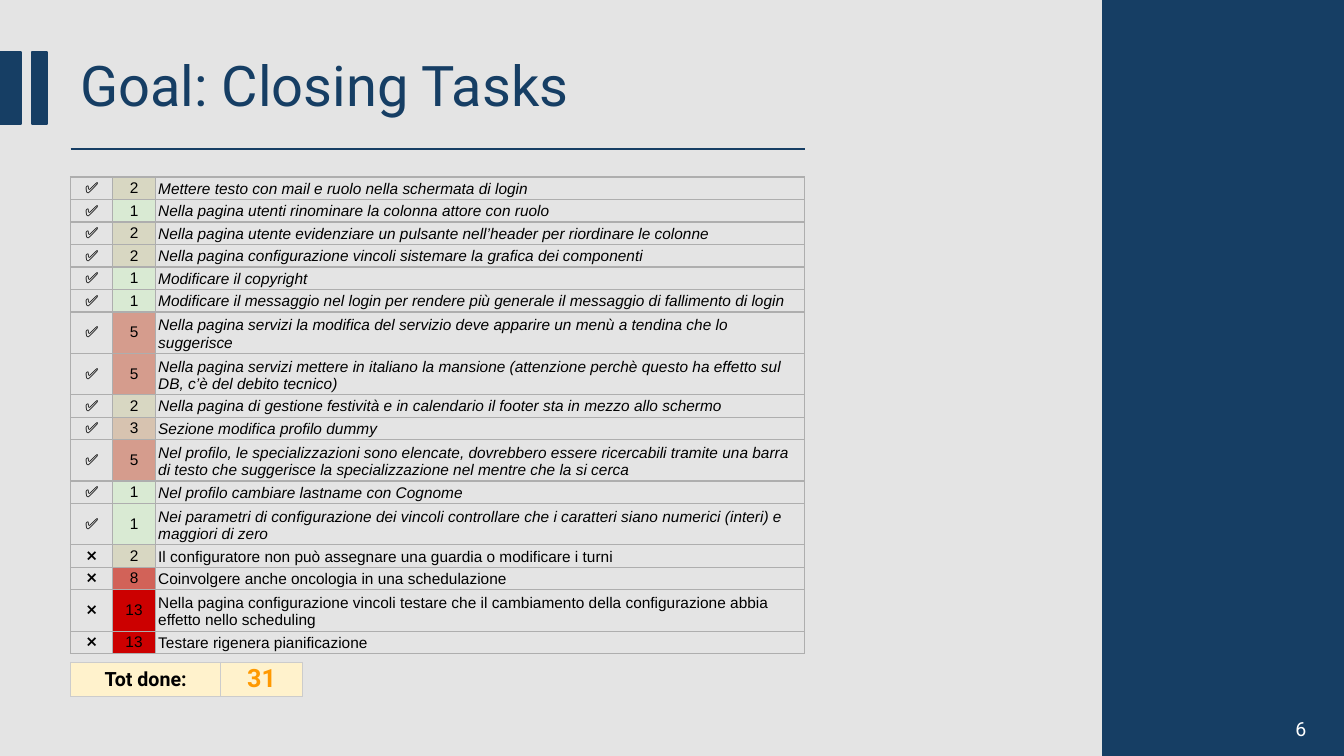
"""Builds the sprint slide that lists closed and open tasks with their points."""
from lxml.etree import SubElement
from pptx import Presentation
from pptx.dml.color import RGBColor
from pptx.enum.shapes import MSO_CONNECTOR, MSO_SHAPE
from pptx.enum.text import MSO_ANCHOR, PP_ALIGN
from pptx.oxml.ns import qn
from pptx.util import Inches, Pt

C = {"navy": "163E64", "bg": "E4E4E4", "white": "FFFFFF", "black": "000000",
     "grid": "AEAEAE", "total_grid": "CCCCCC", "cream": "FFF2CC", "orange": "FF9900"}
POINTS = {1: "D9EAD3", 2: "D8D7C2", 3: "D7C3B0", 5: "D59C8D", 8: "D26258", 13: "CC0000"}
TASKS = [
    (True, 2, 1, "Mettere testo con mail e ruolo nella schermata di login"),
    (True, 1, 1, "Nella pagina utenti rinominare la colonna attore con ruolo"),
    (True, 2, 1, "Nella pagina utente evidenziare un pulsante nell’header per riordinare le colonne"),
    (True, 2, 1, "Nella pagina configurazione vincoli sistemare la grafica dei componenti"),
    (True, 1, 1, "Modificare il copyright"),
    (True, 1, 1, "Modificare il messaggio nel login per rendere più generale il messaggio di "
                 "fallimento di login"),
    (True, 5, 2, "Nella pagina servizi la modifica del servizio deve apparire un menù a tendina "
                 "che lo suggerisce"),
    (True, 5, 2, "Nella pagina servizi mettere in italiano la mansione (attenzione perchè questo "
                 "ha effetto sul DB, c’è del debito tecnico)"),
    (True, 2, 1, "Nella pagina di gestione festività e in calendario il footer sta in mezzo allo "
                 "schermo"),
    (True, 3, 1, "Sezione modifica profilo dummy"),
    (True, 5, 2, "Nel profilo, le specializzazioni sono elencate, dovrebbero essere ricercabili "
                 "tramite una barra di testo che suggerisce la specializzazione nel mentre che la "
                 "si cerca"),
    (True, 1, 1, "Nel profilo cambiare lastname con Cognome"),
    (True, 1, 2, "Nei parametri di configurazione dei vincoli controllare che i caratteri siano "
                 "numerici (interi) e maggiori di zero"),
    (False, 2, 1, "Il configuratore non può assegnare una guardia o modificare i turni"),
    (False, 8, 1, "Coinvolgere anche oncologia in una schedulazione"),
    (False, 13, 2, "Nella pagina configurazione vincoli testare che il cambiamento della "
                   "configurazione abbia effetto nello scheduling"),
    (False, 13, 1, "Testare rigenera pianificazione"),
]

prs = Presentation()
prs.slide_width, prs.slide_height = Inches(13.33), Inches(7.5)
W, H = prs.slide_width / 100, prs.slide_height / 100
LEFT, WIDTH = 5.25, 54.61
s = prs.slides.add_slide(prs.slide_layouts[6])
s.background.fill.solid()
s.background.fill.fore_color.rgb = RGBColor.from_string(C["bg"])


def box(x, y, w, h):
    """Turn percentages of the slide into lengths."""
    return int(x * W), int(y * H), int(w * W), int(h * H)


def set_cell(cell, text, size, font, color="black", fill=None, edge="grid",
             bold=False, italic=False, align=PP_ALIGN.CENTER, anchor=MSO_ANCHOR.MIDDLE):
    """Write one table cell with its borders, fill and font."""
    cell.margin_left = cell.margin_right = Inches(0.03)
    cell.margin_top = cell.margin_bottom = Inches(0.02)
    cell.vertical_anchor = anchor
    cell.text = text
    p = cell.text_frame.paragraphs[0]
    p.alignment = align
    f = p.runs[0].font
    f.size, f.name, f.bold, f.italic = Pt(size), font, bold, italic
    f.color.rgb = RGBColor.from_string(C[color])
    tcPr = cell._tc.get_or_add_tcPr()
    for side in ("a:lnL", "a:lnR", "a:lnT", "a:lnB"):
        ln = SubElement(tcPr, qn(side), w=str(Pt(1 if edge == "grid" else 0.75)))
        SubElement(SubElement(ln, qn("a:solidFill")), qn("a:srgbClr"), val=C[edge])
    if fill:
        cell.fill.solid()
        cell.fill.fore_color.rgb = RGBColor.from_string(fill)
    else:
        cell.fill.background()


for x, y, w, h in [(0, 6.93, 1.58, 9.47), (2.4, 6.93, 1.13, 9.47), (82.1, 0, 17.9, 100)]:
    sp = s.shapes.add_shape(MSO_SHAPE.RECTANGLE, *box(x, y, w, h))
    sp.shadow.inherit = False
    sp.fill.solid()
    sp.fill.fore_color.rgb = sp.line.color.rgb = RGBColor.from_string(C["navy"])
    sp.line.width = Pt(1.5)

x, y, w, _ = box(LEFT, 19.73, WIDTH, 0)
rule = s.shapes.add_connector(MSO_CONNECTOR.STRAIGHT, x, y, x + w, y)
rule.line.color.rgb = RGBColor.from_string(C["navy"])
rule.line.width = Pt(1.5)
SubElement(rule._element.spPr, qn("a:effectLst"))

for text, place, size, color, anchor in [
        ("Goal: Closing Tasks", (LEFT, 6.93, 61.07, 9.47), 40, "navy", MSO_ANCHOR.MIDDLE),
        ("6", (95.65, 94.13, 3.6, 4.53), 14, "white", MSO_ANCHOR.TOP)]:
    tf = s.shapes.add_textbox(*box(*place)).text_frame
    tf.word_wrap, tf.vertical_anchor = True, anchor
    tf.text = text
    p = tf.paragraphs[0]
    p.line_spacing = 0.9 if size == 40 else 1.0
    f = p.runs[0].font
    f.size, f.name = Pt(size), "Roboto"
    f.color.rgb = RGBColor.from_string(C[color])

row_h = {1: 2.95, 2: 5.47}
height = sum(row_h[lines] for _, _, lines, _ in TASKS)
tasks = s.shapes.add_table(len(TASKS), 3, *box(LEFT, 23.4, WIDTH, height)).table
total = s.shapes.add_table(1, 2, *box(LEFT, 87.6, 17.25, 4.53)).table
for table, shares in [(tasks, (3.15, 3.15, 48.31)), (total, (11.18, 6.07))]:
    table.first_row = table.horz_banding = False
    for col, share in zip(table.columns, shares):
        col.width = int(share * W)

for i, (done, points, lines, text) in enumerate(TASKS):
    tasks.rows[i].height = int(row_h[lines] * H)
    set_cell(tasks.cell(i, 0), "✅" if done else "❌", 11, "Arial")
    set_cell(tasks.cell(i, 1), str(points), 11, "Arial", fill=POINTS[points])
    set_cell(tasks.cell(i, 2), text, 11, "Arial", italic=done,
             align=PP_ALIGN.LEFT, anchor=MSO_ANCHOR.BOTTOM)

points_done = sum(points for done, points, _, _ in TASKS if done)
for j, (text, size, color) in enumerate([("Tot done:", 14, "black"),
                                         (str(points_done), 18, "orange")]):
    set_cell(total.cell(0, j), text, size, "Roboto", color, C["cream"], "total_grid", bold=True)

prs.save("out.pptx")
